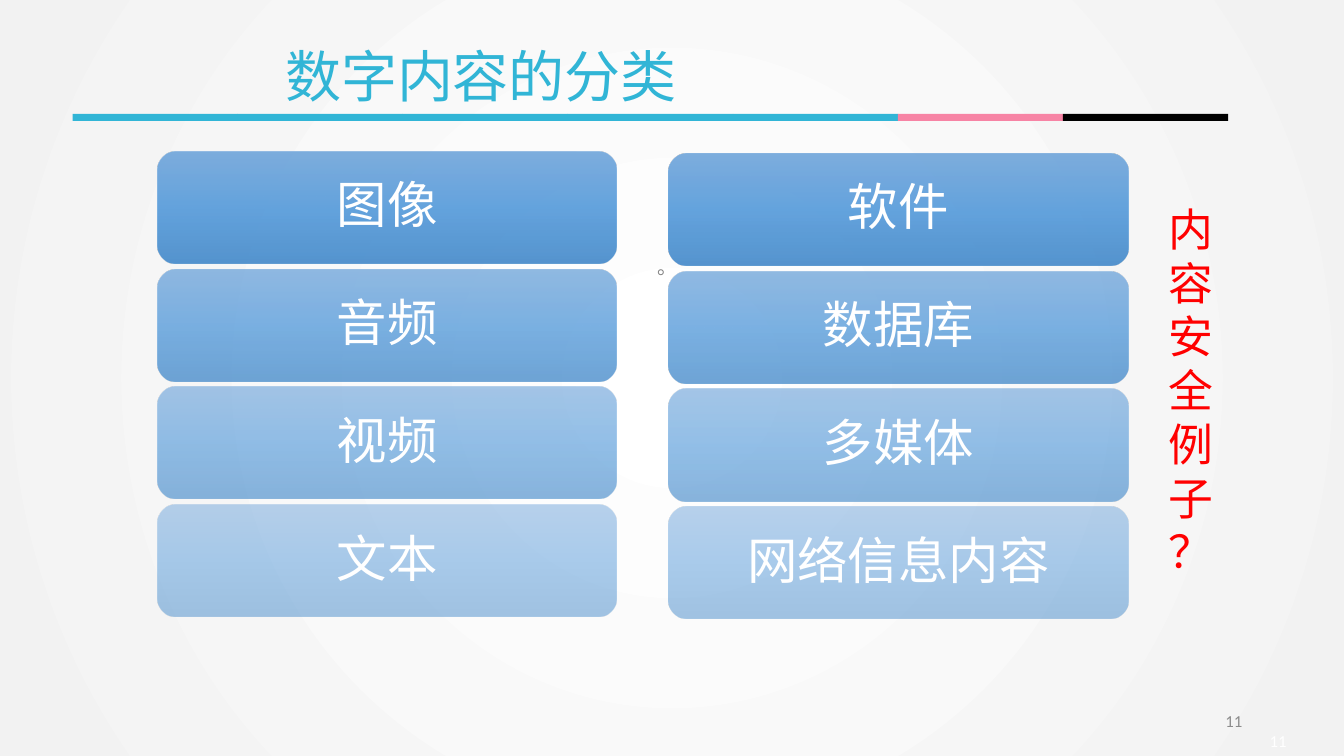
from lxml import etree
from pptx import Presentation
from pptx.dml.color import RGBColor
from pptx.enum import shapes, text
from pptx.oxml.ns import qn
from pptx.util import Inches, Pt

CJK = "Noto Sans CJK SC"
COLUMNS = [
    (1.56, 1.5, ["图像", "音频", "视频", "文本"]),
    (6.63, 1.52, ["软件", "数据库", "多媒体", "网络信息内容"]),
]
CARD_STOPS = [(0, "71A6DB"), (50, "559BDB"), (100, "448ACA")]
CARD_OPACITY = [90, 77, 63, 50]
CARD_PITCH = 1.17
RULE_COLOURS = ["31B5D6"] * 5 + ["F784A5", "000000"]
RULE_PITCH = 1.637


def colour(value):
    return RGBColor.from_string(value)


def fill_stops(gradient, stops, opacity=100):
    """Replace the content of a gradFill element with the given stops."""
    for child in list(gradient):
        gradient.remove(child)
    stop_list = etree.SubElement(gradient, qn("a:gsLst"))
    for position, value in stops:
        stop = etree.SubElement(stop_list, qn("a:gs"), pos=str(position * 1000))
        shade = etree.SubElement(stop, qn("a:srgbClr"), val=value)
        if opacity < 100:
            etree.SubElement(shade, qn("a:alpha"), val=str(opacity * 1000))


def paint_background(page):
    page.background.fill.gradient()
    gradient = page.element.find(".//" + qn("a:gradFill"))
    fill_stops(gradient, [(0, "FFFFFF"), (100, "F2F2F2")])
    circle = etree.SubElement(gradient, qn("a:path"), path="circle")
    etree.SubElement(circle, qn("a:fillToRect"), l="50000", t="50000", r="50000", b="50000")


def write(shape, words, size, value, font=CJK, align=None, spacing=None):
    para = shape.text_frame.paragraphs[0]
    para.text = words
    para.alignment = align
    para.line_spacing = spacing
    para.font.size = Pt(size)
    para.font.color.rgb = colour(value)
    para.font.name = font
    defaults = para._p.pPr.find(qn("a:defRPr"))
    etree.SubElement(defaults, qn("a:ea"), typeface=font)


def add_text(page, place, words, size, value, wrap=True, middle=False, **style):
    box = page.shapes.add_textbox(*map(Inches, place))
    box.text_frame.word_wrap = wrap
    if middle:
        box.text_frame.vertical_anchor = text.MSO_ANCHOR.MIDDLE
    write(box, words, size, value, **style)


def add_plain_shape(page, kind, place):
    shape = page.shapes.add_shape(kind, *map(Inches, place))
    shape.shadow.inherit = False
    shape.line.fill.background()
    return shape


def add_card(page, left, top, words, opacity):
    card = add_plain_shape(page, shapes.MSO_SHAPE.ROUNDED_RECTANGLE, (left, top, 4.56, 1.11))
    card.fill.gradient()
    gradient = card.element.spPr.find(qn("a:gradFill"))
    fill_stops(gradient, CARD_STOPS, opacity)
    etree.SubElement(gradient, qn("a:lin"), ang="5400000", scaled="0")
    frame = card.text_frame
    frame.word_wrap = True
    frame.vertical_anchor = text.MSO_ANCHOR.MIDDLE
    frame.margin_left = frame.margin_right = Inches(0.15)
    frame.margin_top = frame.margin_bottom = Inches(0.07)
    write(card, words, 36, "FFFFFF", align=text.PP_ALIGN.CENTER, spacing=0.9)


def add_rule(page):
    for index, value in enumerate(RULE_COLOURS):
        place = (0.72 + index * RULE_PITCH, 1.13, 1.64, 0.07)
        segment = add_plain_shape(page, shapes.MSO_SHAPE.RECTANGLE, place)
        segment.fill.solid()
        segment.fill.fore_color.rgb = colour(value)


def add_page_number(page, left, top, value):
    add_text(page, (left, top, 3, 0.4), "11", 12, value, middle=True,
             font="Calibri", align=text.PP_ALIGN.RIGHT)


def main():
    deck = Presentation()
    deck.slide_width, deck.slide_height = Inches(13.33), Inches(7.5)
    page = deck.slides.add_slide(deck.slide_layouts[6])
    paint_background(page)
    add_page_number(page, 9.86, 7.15, "FFFFFF")
    add_text(page, (6.42, 2.51, 5.13, 4.24), "。", 14, "7F7F7F", spacing=0.9)
    add_rule(page)
    add_text(page, (2.73, 0.36, 4.13, 0.77), "数字内容的分类", 40, "31B5D6", wrap=False)
    for left, top, labels in COLUMNS:
        for row, (words, opacity) in enumerate(zip(labels, CARD_OPACITY)):
            add_card(page, left, top + row * CARD_PITCH, words, opacity)
    add_page_number(page, 9.42, 6.95, "8C8C8C")
    add_text(page, (11.49, 1.95, 0.6, 3.87), "内容安全例子？", 32, "FF0000", font="Calibri")
    deck.save("out.pptx")


if __name__ == "__main__":
    main()
